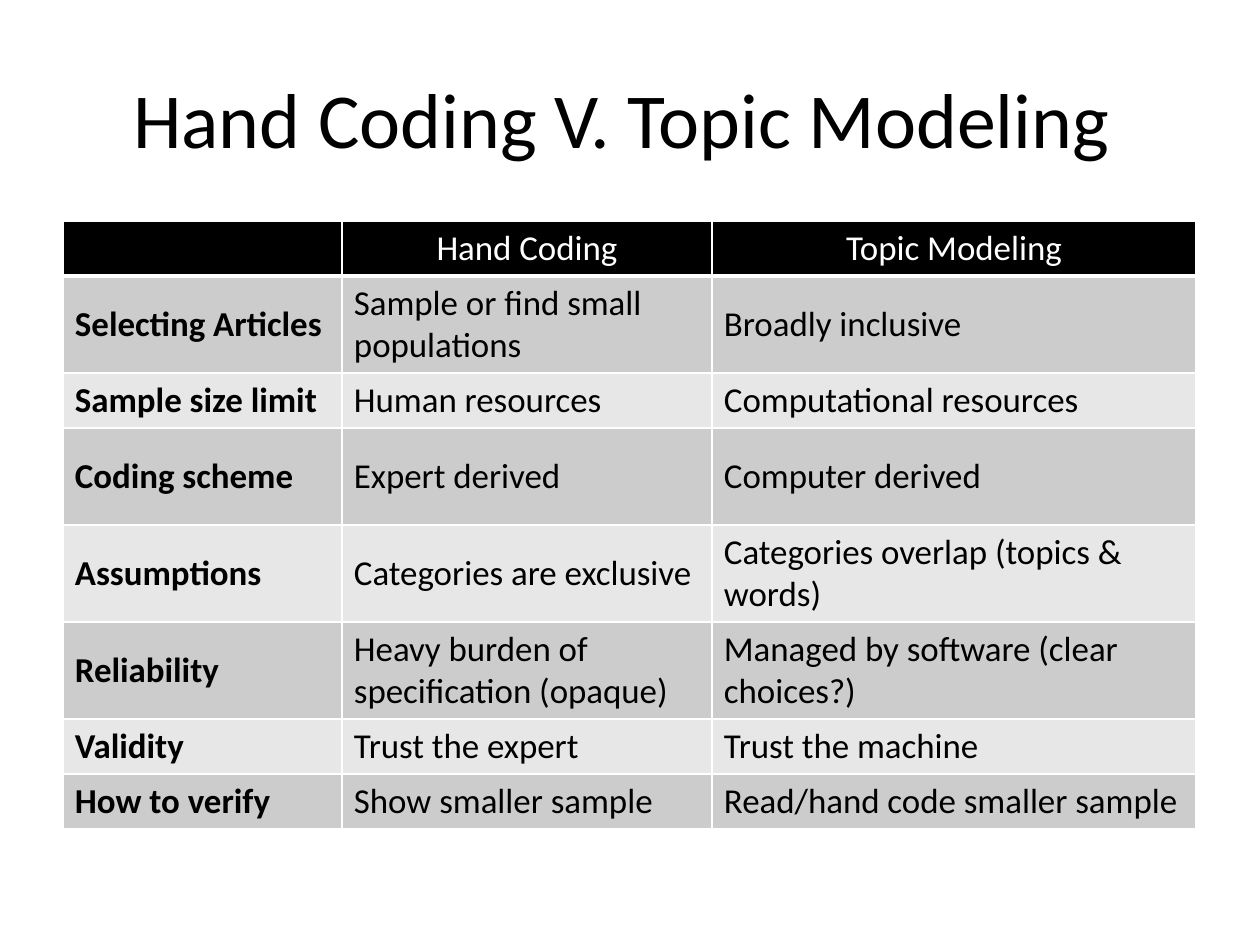
from dataclasses import dataclass

from lxml import etree
from pptx import Presentation
from pptx import util as u
from pptx.dml.color import RGBColor
from pptx.enum import text
from pptx.oxml.ns import qn

EMU_PER_PX = 8000
BLACK = RGBColor(0x00, 0x00, 0x00)
WHITE = RGBColor(0xFF, 0xFF, 0xFF)
DARK_BAND = RGBColor(0xCC, 0xCC, 0xCC)
LIGHT_BAND = RGBColor(0xE7, 0xE7, 0xE7)

ONE_LINE, TWO_LINES = 55, 97
COLUMN_WIDTHS = (279, 370, 484)


@dataclass(frozen=True)
class Comparison:
    aspect: str
    hand_coding: str
    topic_modeling: str
    height: int = ONE_LINE


COMPARISONS = (
    Comparison("", "Hand Coding", "Topic Modeling"),
    Comparison("Selecting Articles", "Sample or find small populations",
               "Broadly inclusive", TWO_LINES),
    Comparison("Sample size limit", "Human resources", "Computational resources"),
    Comparison("Coding scheme", "Expert derived", "Computer derived", TWO_LINES),
    Comparison("Assumptions", "Categories are exclusive",
               "Categories overlap (topics & words)", TWO_LINES),
    Comparison("Reliability", "Heavy burden of specification (opaque)",
               "Managed by software (clear choices?)", TWO_LINES),
    Comparison("Validity", "Trust the expert", "Trust the machine"),
    Comparison("How to verify", "Show smaller sample",
               "Read/hand code smaller sample"),
)


def px(length: int) -> u.Emu:
    return u.Emu(length * EMU_PER_PX)


def apply(target, formats: dict) -> None:
    for attribute, value in formats.items():
        setattr(target, attribute, value)


def format_text(frame, size: int, color: RGBColor, bold: bool, align) -> None:
    for paragraph in frame.paragraphs:
        paragraph.alignment = align
        for run in paragraph.runs:
            apply(run.font, {"name": "Calibri", "size": u.Pt(size), "bold": bold})
            run.font.color.rgb = color


def add_borders(cell, bottom_points: int) -> None:
    """Draw white borders; must run before the cell gets its fill."""
    properties = cell._tc.get_or_add_tcPr()
    for side, points in (("L", 1), ("R", 1), ("T", 1), ("B", bottom_points)):
        line = etree.SubElement(properties, qn(f"a:ln{side}"), w=str(u.Pt(points)))
        solid = etree.SubElement(line, qn("a:solidFill"))
        etree.SubElement(solid, qn("a:srgbClr"), val=str(WHITE))


def format_cell(cell, row: int, column: int) -> None:
    header = row == 0
    apply(cell, {
        "margin_left": px(12), "margin_right": px(12),
        "margin_top": px(6), "margin_bottom": px(6),
        "vertical_anchor": text.MSO_ANCHOR.TOP if header else text.MSO_ANCHOR.MIDDLE,
    })
    add_borders(cell, 3 if header else 1)
    cell.fill.solid()
    band = DARK_BAND if row % 2 else LIGHT_BAND
    cell.fill.fore_color.rgb = BLACK if header else band
    format_text(cell.text_frame, 22, WHITE if header else BLACK,
                not header and column == 0,
                text.PP_ALIGN.CENTER if header else text.PP_ALIGN.LEFT)


def add_title(slide) -> None:
    title = slide.shapes.title
    apply(title, {"left": px(63), "top": px(38), "width": px(1134), "height": px(158)})
    title.text_frame.text = "Hand Coding V. Topic Modeling "
    apply(title.text_frame, {
        "margin_left": px(12), "margin_right": px(12),
        "margin_top": px(6), "margin_bottom": px(6), "word_wrap": True,
        "vertical_anchor": text.MSO_ANCHOR.MIDDLE,
        "auto_size": text.MSO_AUTO_SIZE.NONE,
    })
    format_text(title.text_frame, 49, BLACK, False, text.PP_ALIGN.CENTER)


def add_comparison_table(slide) -> None:
    table = slide.shapes.add_table(
        len(COMPARISONS), len(COLUMN_WIDTHS), px(63), px(221),
        px(sum(COLUMN_WIDTHS)), px(sum(c.height for c in COMPARISONS))).table
    for column, width in zip(table.columns, COLUMN_WIDTHS):
        column.width = px(width)
    for row, comparison in enumerate(COMPARISONS):
        table.rows[row].height = px(comparison.height)
        entries = (comparison.aspect, comparison.hand_coding, comparison.topic_modeling)
        for column, entry in enumerate(entries):
            cell = table.cell(row, column)
            if entry:
                cell.text = entry
            format_cell(cell, row, column)


def main() -> None:
    deck = Presentation()
    apply(deck, {"slide_width": px(1260), "slide_height": px(945)})
    slide = deck.slides.add_slide(deck.slide_layouts.get_by_name("Title Only"))
    add_title(slide)
    add_comparison_table(slide)
    deck.save("out.pptx")


if __name__ == "__main__":
    main()
